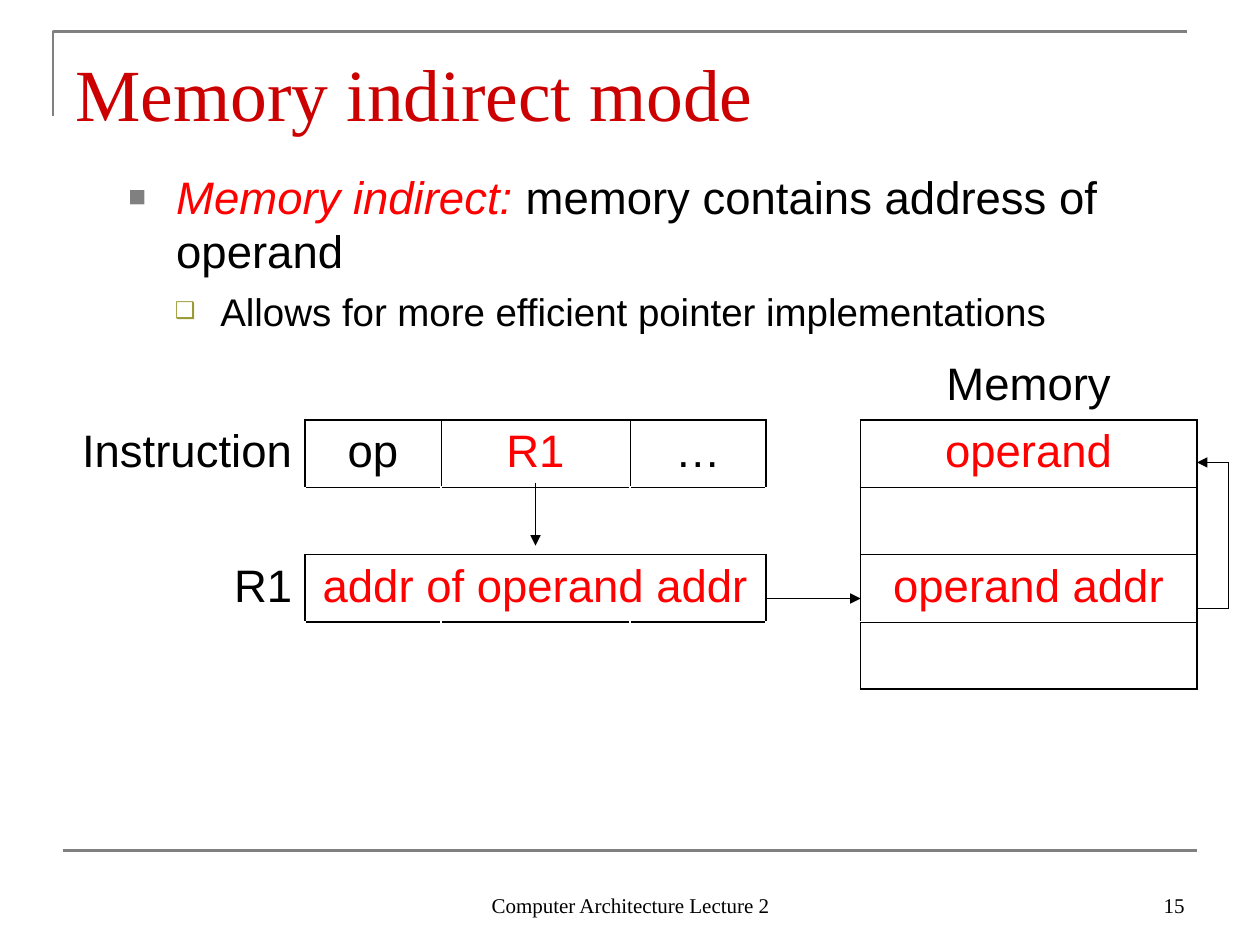
import pptx
import pptx.dml.color
import pptx.enum.shapes
import pptx.enum.text
import pptx.oxml.ns
import pptx.oxml.xmlchemy
import pptx.util
import lxml.etree

Inches = pptx.util.Inches
Pt = pptx.util.Pt
RGBColor = pptx.dml.color.RGBColor
ALIGN = pptx.enum.text.PP_ALIGN
ANCHOR = pptx.enum.text.MSO_ANCHOR
qn = pptx.oxml.ns.qn

BLACK = RGBColor(0x00, 0x00, 0x00)
RED = RGBColor(0xFF, 0x00, 0x00)
TITLE_RED = RGBColor(0xCC, 0x00, 0x00)
GRAY = RGBColor(0x80, 0x80, 0x80)
OLIVE = RGBColor(0x99, 0x99, 0x33)

SANS = "Arial"
SERIF = "Times New Roman"
OUTER = 1.08
INNER = 0.45
COLUMN_WIDTHS = [1.92, 1.08, 1.5, 1.08, 0.75, 2.67]
ROW_COUNT = 5
TABLE_HEIGHT = 2.67
NEIGHBOURS = {"L": (0, -1, "R"), "R": (0, 1, "L"), "T": (-1, 0, "B"), "B": (1, 0, "T")}
CELL_TEXTS = [
    (0, 5, "Memory", BLACK, ALIGN.CENTER),
    (1, 0, "Instruction", BLACK, ALIGN.RIGHT),
    (1, 1, "op", BLACK, ALIGN.CENTER),
    (1, 2, "R1", RED, ALIGN.CENTER),
    (1, 3, "…", BLACK, ALIGN.CENTER),
    (1, 5, "operand", RED, ALIGN.CENTER),
    (3, 0, "R1", BLACK, ALIGN.RIGHT),
    (3, 1, "addr of operand addr", RED, ALIGN.CENTER),
    (3, 5, "operand addr", RED, ALIGN.CENTER),
]


def add_child(parent, tag, **attributes):
    return lxml.etree.SubElement(parent, qn(tag), attributes)


def add_run(para, text, size, color, font=SANS, italic=False):
    run = para.add_run()
    run.text = text
    run.font.name = font
    run.font.size = Pt(size)
    run.font.italic = italic
    run.font.color.rgb = color


def add_box(page, left, top, width, height, anchor=ANCHOR.TOP):
    box = page.shapes.add_textbox(Inches(left), Inches(top), Inches(width), Inches(height))
    box.text_frame.word_wrap = True
    box.text_frame.vertical_anchor = anchor
    return box.text_frame


def set_bullet(para, symbol, color, percent, margin, indent):
    properties = para._p.get_or_add_pPr()
    properties.set("marL", str(Inches(margin)))
    properties.set("indent", str(Inches(indent)))
    bullet_color = add_child(properties, "a:buClr")
    add_child(bullet_color, "a:srgbClr", val=str(color))
    add_child(properties, "a:buSzPct", val=str(percent * 1000))
    add_child(properties, "a:buFont", typeface=SANS)
    add_child(properties, "a:buChar", char=symbol)


def add_line(page, start, end, color=BLACK, width=0.75, arrow=False):
    line = page.shapes.add_connector(
        pptx.enum.shapes.MSO_CONNECTOR.STRAIGHT, *map(Inches, start + end))
    line.line.color.rgb = color
    line.line.width = Pt(width)
    if arrow:
        add_child(line.line._get_or_add_ln(), "a:tailEnd", type="triangle")
    add_child(line._element.spPr, "a:effectLst")


def add_frame(page):
    builder = page.shapes.build_freeform(Inches(0.42), Inches(0.92))
    corner = (Inches(0.42), Inches(0.25))
    builder.add_line_segments([corner, (Inches(9.42), Inches(0.25))], close=False)
    frame = builder.convert_to_shape()
    frame.shadow.inherit = False
    frame.fill.background()
    frame.line.color.rgb = GRAY
    frame.line.width = Pt(1.5)
    add_line(page, (0.5, 6.75), (9.5, 6.75), GRAY, 1.5)


def add_footer(page, left, width, text, align):
    para = add_box(page, left, 6.83, width, 0.5, ANCHOR.BOTTOM).paragraphs[0]
    para.alignment = align
    add_run(para, text, 12, BLACK, SERIF)


def add_title(page):
    frame = add_box(page, 0.5, 0.3, 9, 0.78, ANCHOR.BOTTOM)
    frame.margin_bottom = 0
    add_run(frame.paragraphs[0], "Memory indirect mode", 42, TITLE_RED, SERIF)


def add_body(page):
    frame = add_box(page, 0.92, 1.25, 8.58, 1.55)
    frame.margin_top = Inches(0.09)
    definition = frame.paragraphs[0]
    set_bullet(definition, "■", GRAY, 65, 0.38, -0.38)
    add_run(definition, "Memory indirect: ", 26, RED, italic=True)
    add_run(definition, "memory contains address of operand", 26, BLACK)
    benefit = frame.add_paragraph()
    benefit.level = 1
    set_bullet(benefit, "❑", OLIVE, 60, 0.73, -0.36)
    benefit.space_before = Pt(5.5)
    add_run(benefit, "Allows for more efficient pointer implementations", 22, BLACK)


def block_borders(rows, columns, inner=INNER):
    borders = {}
    for row in rows:
        for column in columns:
            for side, (down, right, opposite) in NEIGHBOURS.items():
                near = (row + down, column + right)
                inside = near[0] in rows and near[1] in columns
                width = inner if inside else OUTER
                if width:
                    borders[(row, column, side)] = width
                    borders[near + (opposite,)] = width
    return borders


def draw_borders(table, borders):
    for row in range(ROW_COUNT):
        for column in range(len(COLUMN_WIDTHS)):
            properties = table.cell(row, column)._tc.get_or_add_tcPr()
            sides = [side for side in "LRTB" if (row, column, side) in borders]
            for position, side in enumerate(sides):
                width = borders[(row, column, side)]
                border = add_child(properties, "a:ln" + side, w=str(Pt(width)))
                fill = add_child(border, "a:solidFill")
                add_child(fill, "a:srgbClr", val=str(BLACK))
                properties.insert(position, border)


def add_memory_table(page):
    table = page.shapes.add_table(
        ROW_COUNT, len(COLUMN_WIDTHS), Inches(0.5), Inches(2.8),
        Inches(sum(COLUMN_WIDTHS)), Inches(TABLE_HEIGHT)).table
    table.first_row = False
    table.horz_banding = False
    for column, width in zip(table.columns, COLUMN_WIDTHS):
        column.width = Inches(width)
    for row in table.rows:
        row.height = Inches(TABLE_HEIGHT / ROW_COUNT)
        for cell in row.cells:
            cell.fill.background()
    table.cell(3, 1).merge(table.cell(3, 3))
    for row, column, text, color, align in CELL_TEXTS:
        para = table.cell(row, column).text_frame.paragraphs[0]
        para.alignment = align
        add_run(para, text, 26, color)
    instruction = block_borders(range(1, 2), range(1, 4))
    register = block_borders(range(3, 4), range(1, 4), inner=None)
    memory = block_borders(range(1, 5), range(5, 6))
    draw_borders(table, {**instruction, **register, **memory})


def add_pointer_arrows(page):
    add_line(page, (4.25, 3.83), (4.25, 4.33), arrow=True)
    add_line(page, (6.08, 4.75), (6.83, 4.75), arrow=True)
    route = [(9.5, 4.83), (9.75, 4.83), (9.75, 3.67), (9.5, 3.67)]
    for start, end in zip(route, route[1:]):
        add_line(page, start, end, arrow=end == route[-1])


def main():
    deck = pptx.Presentation()
    deck.slide_width = Inches(10)
    deck.slide_height = Inches(7.5)
    page = deck.slides.add_slide(deck.slide_layouts[6])
    add_frame(page)
    add_footer(page, 3.42, 3.17, "Computer Architecture Lecture 2", ALIGN.CENTER)
    add_footer(page, 7.17, 2.33, "15", ALIGN.RIGHT)
    add_title(page)
    add_body(page)
    add_memory_table(page)
    add_pointer_arrows(page)
    deck.save("out.pptx")


if __name__ == "__main__":
    main()
